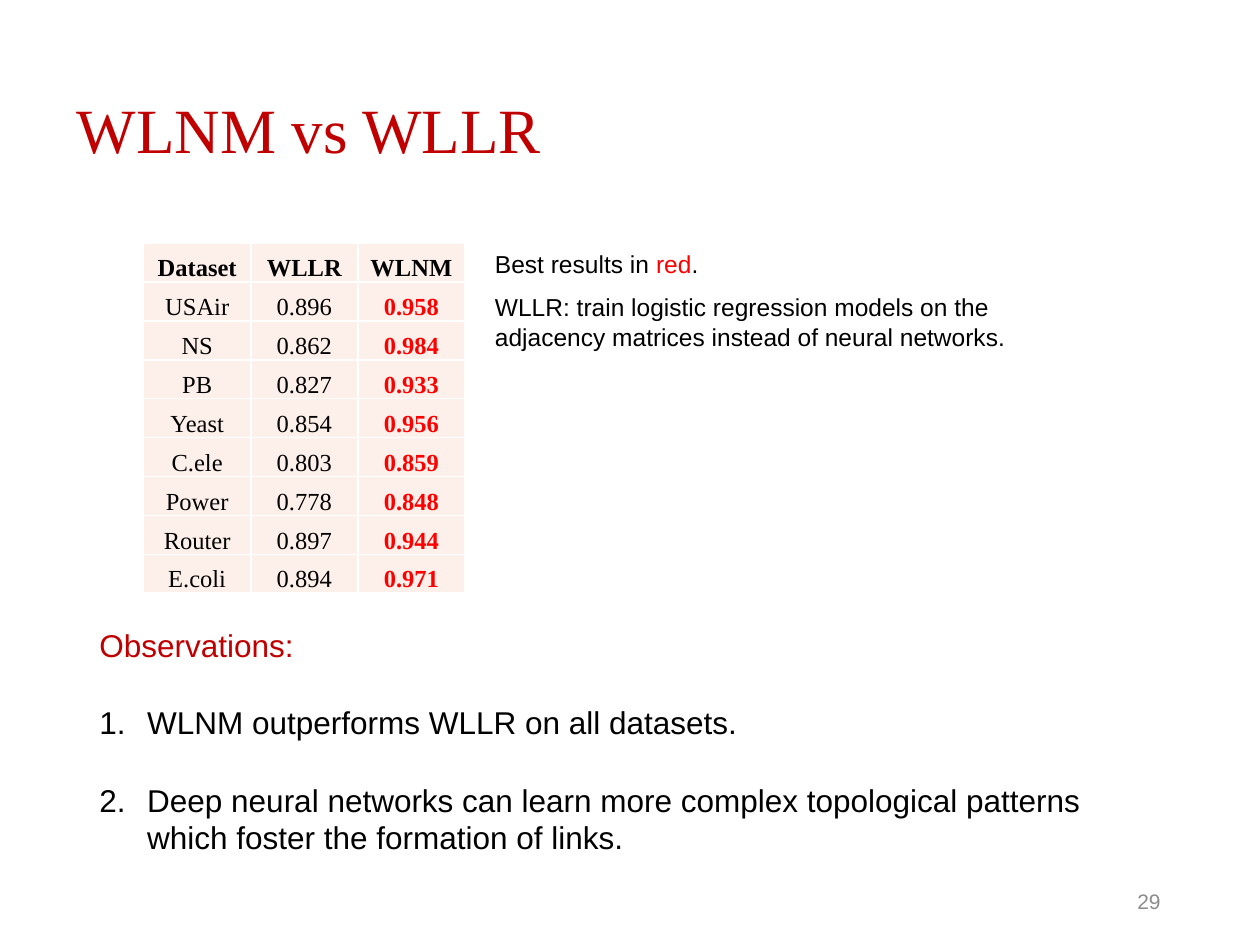
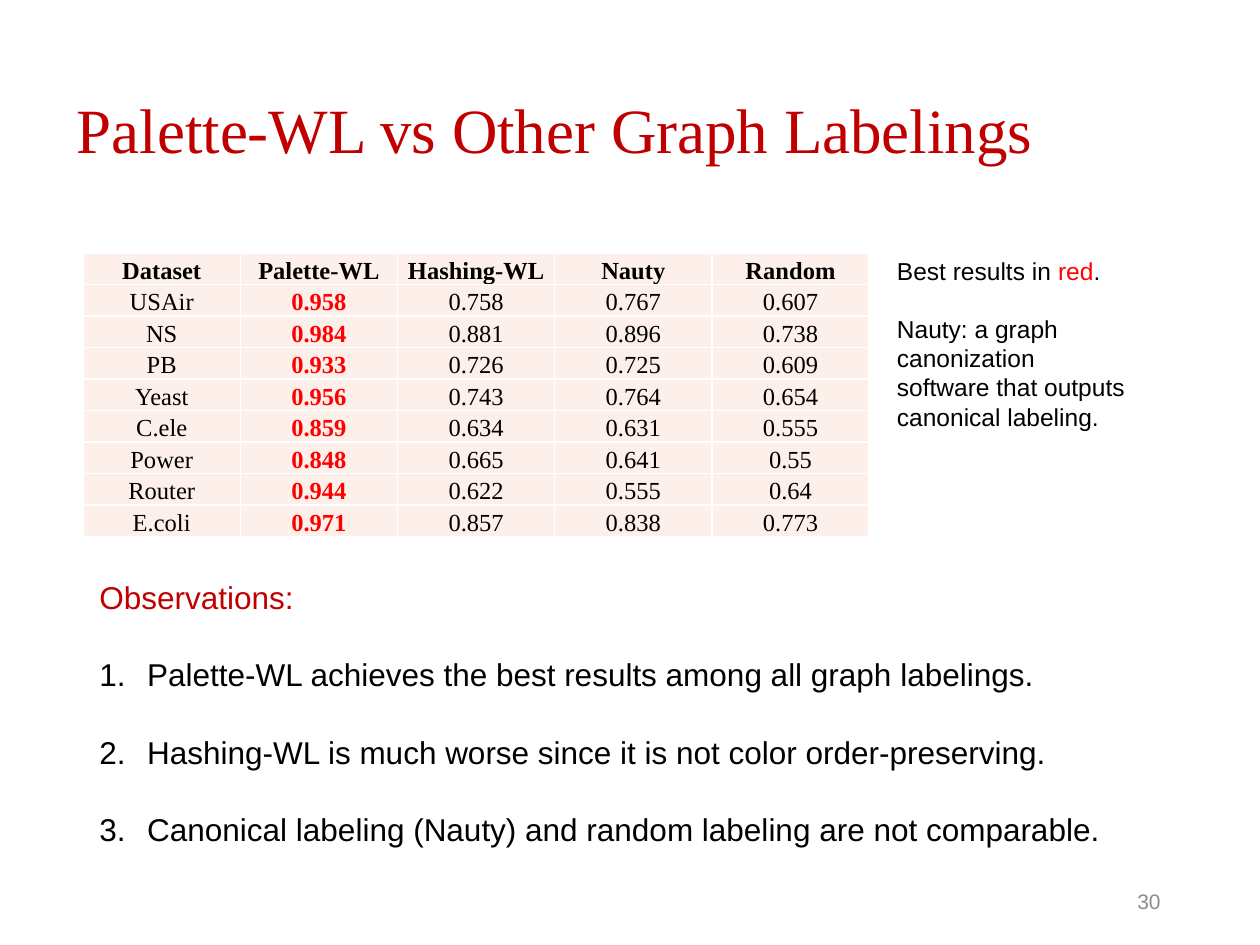
"""Build two slides comparing link prediction results."""
from dataclasses import dataclass

from lxml import etree
from pptx import Presentation
from pptx.dml.color import RGBColor
from pptx.enum.text import MSO_ANCHOR, PP_ALIGN
from pptx.oxml.ns import qn
from pptx.util import Inches, Pt

LEFT, CENTER, RIGHT = PP_ALIGN.LEFT, PP_ALIGN.CENTER, PP_ALIGN.RIGHT
MIDDLE, BOTTOM = MSO_ANCHOR.MIDDLE, MSO_ANCHOR.BOTTOM
TITLE_ONLY = 5


@dataclass(frozen=True)
class Theme:
    """Colours, fonts and type sizes shared by the slides."""
    accent: str = "C00000"
    ink: str = "000000"
    best: str = "FF0000"
    muted: str = "8C8C8C"
    cell: str = "FDEFE9"
    border: str = "FFFFFF"
    serif: str = "Times New Roman"
    sans: str = "Arial"
    title_size: int = 36
    body_size: int = 18
    small_size: int = 14
    number_size: int = 12
    body_gap: float = 22.5


THEME = Theme()
LEGEND = [("Best results in ", THEME.ink), ("red", THEME.best), (".", THEME.ink)]
DATASETS = ["USAir", "NS", "PB", "Yeast", "C.ele", "Power", "Router", "E.coli"]
WLNM_SCORES = ["0.958", "0.984", "0.933", "0.956", "0.859", "0.848", "0.944", "0.971"]

SLIDES = [
    {
        "title": "WLNM vs WLLR",
        "number": "29",
        "columns": {
            "Dataset": DATASETS,
            "WLLR": ["0.896", "0.862", "0.827", "0.854", "0.803", "0.778", "0.897", "0.894"],
            "WLNM": WLNM_SCORES,
        },
        "best": "WLNM",
        "table_at": (1.14, 1.93, 2.55, 2.78),
        "legend_at": (3.83, 1.93, 1.82, 0.34),
        "note": ["WLLR: train logistic regression models on the adjacency matrices "
                 "instead of neural networks."],
        "note_at": (3.83, 2.27, 4.6, 0.57),
        "observations": [
            "WLNM outperforms WLLR on all datasets.",
            "Deep neural networks can learn more complex topological patterns "
            "which foster the formation of links.",
        ],
        "observations_at": (0.69, 4.92, 8.62, 1.92),
    },
    {
        "title": "Palette-WL vs Other Graph Labelings",
        "number": "30",
        "columns": {
            "Dataset": DATASETS,
            "Palette-WL": WLNM_SCORES,
            "Hashing-WL": ["0.758", "0.881", "0.726", "0.743", "0.634", "0.665", "0.622", "0.857"],
            "Nauty": ["0.767", "0.896", "0.725", "0.764", "0.631", "0.641", "0.555", "0.838"],
            "Random": ["0.607", "0.738", "0.609", "0.654", "0.555", "0.55", "0.64", "0.773"],
        },
        "best": "Palette-WL",
        "table_at": (0.66, 2.01, 6.24, 2.25),
        "legend_at": (7.02, 1.98, 1.82, 0.34),
        "note": ["Nauty: a graph canonization", "software that outputs canonical labeling."],
        "note_at": (7.02, 2.44, 2.62, 0.81),
        "observations": [
            "Palette-WL achieves the best results among all graph labelings.",
            "Hashing-WL is much worse since it is not color order-preserving.",
            "Canonical labeling (Nauty) and random labeling are not comparable.",
        ],
        "observations_at": (0.69, 4.54, 8.62, 2.22),
    },
]


def style(font, size, color, name=THEME.sans, bold=False):
    """Set the look of a font."""
    font.size = Pt(size)
    font.name = name
    font.bold = bold
    font.color.rgb = RGBColor.from_string(color)


def add_text(page, at, lines, size, color=THEME.ink, align=LEFT, wrap=True):
    """Add a text box with one paragraph per line."""
    frame = page.shapes.add_textbox(*map(Inches, at)).text_frame
    frame.word_wrap = wrap
    frame.text = "\n".join(lines)
    for para in frame.paragraphs:
        para.alignment = align
        for span in para.runs:
            style(span.font, size, color)
    return frame


def add_title(page, text):
    """Fill and place the title placeholder."""
    title = page.shapes.title
    title.left, title.top, title.width, title.height = map(Inches, (0.51, 0.48, 7.91, 1.07))
    frame = title.text_frame
    frame.text = text
    frame.vertical_anchor = MIDDLE
    frame.paragraphs[0].alignment = LEFT
    style(frame.paragraphs[0].runs[0].font, THEME.title_size, THEME.accent, THEME.serif)


def add_legend(page, at):
    """Add the line that explains the highlighted scores."""
    para = add_text(page, at, [""], THEME.small_size, wrap=False).paragraphs[0]
    for text, color in LEGEND:
        span = para.add_run()
        span.text = text
        style(span.font, THEME.small_size, color)


def add_observations(page, at, items):
    """Add the heading and the numbered observations."""
    frame = add_text(page, at, ["Observations:", *items], THEME.body_size)
    heading, *numbered = frame.paragraphs
    style(heading.runs[0].font, THEME.body_size, THEME.accent)
    for para in numbered:
        para.space_before = Pt(THEME.body_gap)
        properties = para._p.get_or_add_pPr()
        properties.set("marL", str(Inches(0.38)))
        properties.set("indent", str(-Inches(0.38)))
        etree.SubElement(properties, qn("a:buFont"), typeface="+mj-lt")
        etree.SubElement(properties, qn("a:buAutoNum"), type="arabicPeriod")


def format_cell(cell, text, color, bold):
    """Write one table cell with its borders and fill."""
    cell.text = text
    cell.vertical_anchor = BOTTOM
    cell.margin_left = cell.margin_right = cell.margin_top = Inches(0.01)
    cell.margin_bottom = 0
    para = cell.text_frame.paragraphs[0]
    para.alignment = CENTER
    style(para.runs[0].font, THEME.small_size, color, THEME.serif, bold)
    properties = cell._tc.get_or_add_tcPr()
    for side in ("lnL", "lnR", "lnT", "lnB"):
        line = etree.SubElement(properties, qn(f"a:{side}"), w=str(Pt(1)))
        fill = etree.SubElement(line, qn("a:solidFill"))
        etree.SubElement(fill, qn("a:srgbClr"), val=THEME.border)
    cell.fill.solid()
    cell.fill.fore_color.rgb = RGBColor.from_string(THEME.cell)


def add_scores(page, at, columns, best):
    """Add the table of scores with the best column highlighted."""
    row_count = len(DATASETS) + 1
    table = page.shapes.add_table(row_count, len(columns), *map(Inches, at)).table
    table.first_row = table.horz_banding = False
    for column, (name, values) in enumerate(columns.items()):
        format_cell(table.cell(0, column), name, THEME.ink, True)
        color = THEME.best if name == best else THEME.ink
        for row, value in enumerate(values, 1):
            format_cell(table.cell(row, column), value, color, name == best)


def main():
    """Build and save the deck."""
    deck = Presentation()
    deck.slide_width, deck.slide_height = Inches(10), Inches(7.5)
    for content in SLIDES:
        page = deck.slides.add_slide(deck.slide_layouts[TITLE_ONLY])
        add_title(page, content["title"])
        number = add_text(page, (7.06, 6.95, 2.25, 0.4), [content["number"]],
                          THEME.number_size, THEME.muted, RIGHT)
        number.vertical_anchor = MIDDLE
        add_scores(page, content["table_at"], content["columns"], content["best"])
        add_legend(page, content["legend_at"])
        add_text(page, content["note_at"], content["note"], THEME.small_size)
        add_observations(page, content["observations_at"], content["observations"])
    deck.save("out.pptx")


if __name__ == "__main__":
    main()
